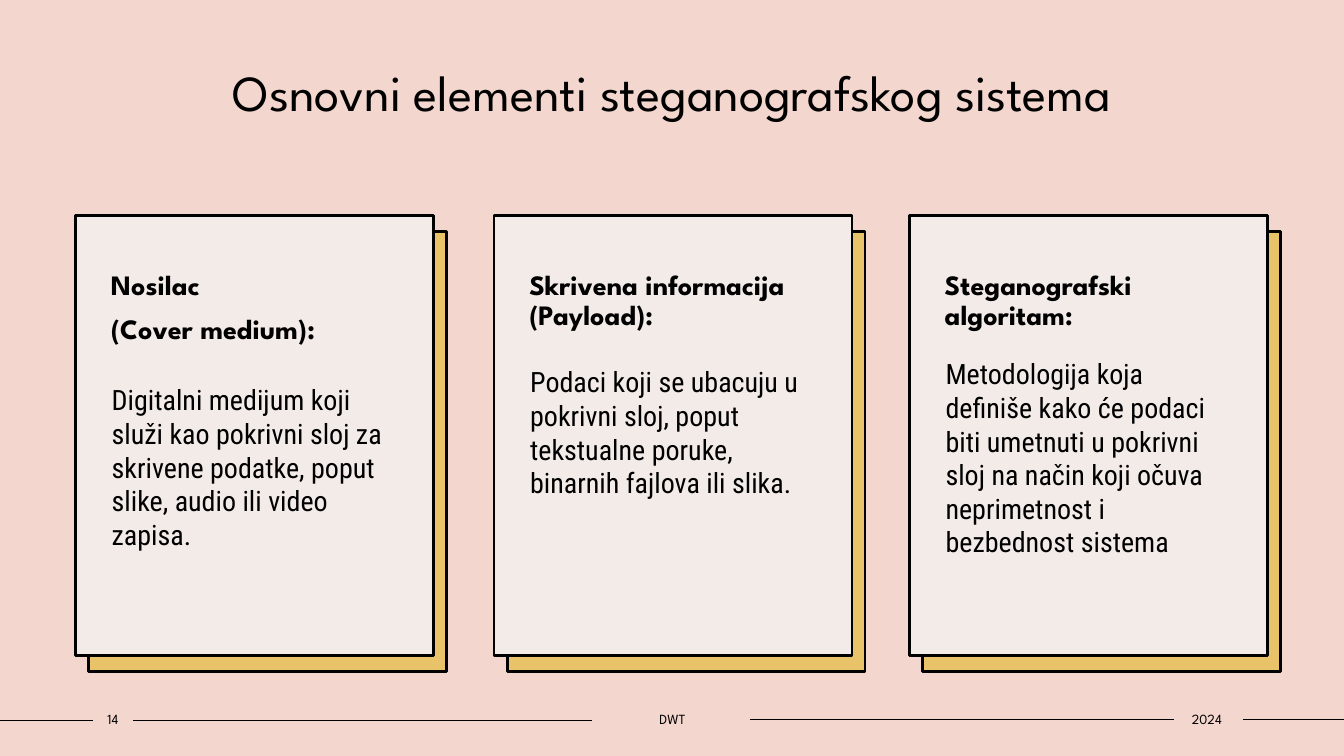
from pptx import Presentation
from pptx.dml.color import RGBColor
from pptx.enum.shapes import MSO_CONNECTOR, MSO_SHAPE
from pptx.enum.text import MSO_ANCHOR, PP_ALIGN
from pptx.oxml.ns import qn
from pptx.util import Pt
from lxml import etree

PX = 9144  # 100 px to the inch
COLORS = {"back": "F3D6CD", "card": "F3EBE8", "gold": "E9C369", "ink": "000000"}
HEAD_FONT, BODY_FONT = "League Spartan", "Roboto Condensed"

TITLE = {"size": 36, "name": HEAD_FONT}
HEADING = {"size": 20, "name": HEAD_FONT, "bold": True}
BODY = {"size": 20, "name": BODY_FONT}
FOOTER = {"size": 10, "name": HEAD_FONT}

# left edge, heading paragraphs, top of the description, description
CARDS = [
    (75, ["Nosilac", "(Cover medium):"], 375,
     "Digitalni medijum koji služi kao pokrivni sloj za skrivene podatke, "
     "poput slike, audio ili video zapisa."),
    (490, ["Skrivena informacija (Payload):"], 357,
     "Podaci koji se ubacuju u pokrivni sloj, poput tekstualne poruke, "
     "binarnih fajlova ili slika."),
    (902, ["Steganografski algoritam:"], 349,
     "Metodologija koja definiše kako će podaci biti umetnuti u pokrivni sloj "
     "na način koji očuva neprimetnost i bezbednost sistema"),
]
FOOTER_LINES = [(0, 92, 15), (132, 587, 15), (744, 1164, 14), (1233, 1333, 14)]
FOOTER_TEXTS = [(92, 40, "14"), (587, 160, "DWT"), (1162, 70, "2024")]


def px(*lengths):
    return [n * PX for n in lengths]


def color(name):
    return RGBColor.from_string(COLORS[name])


def write(sp, lines, font, align=PP_ALIGN.LEFT, anchor=MSO_ANCHOR.TOP,
          insets=(10, 5, 10, 5), paragraph=None):
    tf = sp.text_frame
    tf.word_wrap = True
    tf.vertical_anchor = anchor
    for side, inset in zip(("left", "top", "right", "bottom"), px(*insets)):
        setattr(tf, f"margin_{side}", inset)
    for i, line in enumerate(lines):
        p = tf.add_paragraph() if i else tf.paragraphs[0]
        p.alignment = align
        for key, value in (paragraph or {}).items():
            setattr(p, key, value)
        r = p.add_run()
        r.text = line
        for key, value in font.items():
            setattr(r.font, key, Pt(value) if key == "size" else value)
        r.font.color.rgb = color("ink")


def add_text(s, box, lines, font, **options):
    write(s.shapes.add_textbox(*px(*box)), lines, font, **options)


def add_panel(s, box, fill):
    sp = s.shapes.add_shape(MSO_SHAPE.RECTANGLE, *px(*box))
    sp.shadow.inherit = False
    sp.fill.solid()
    sp.fill.fore_color.rgb = color(fill)
    sp.line.color.rgb = color("ink")
    sp.line.width = Pt(2)
    return sp


def add_card(s, box, heading, body_top, body):
    x, y, w, h = box
    add_panel(s, (x + 13, y + 16, w, h), "gold")
    write(add_panel(s, box, "card"), heading, HEADING, insets=(35, 55, 10, 5),
          paragraph={"line_spacing": 0.9, "space_before": Pt(10)})
    add_text(s, (x + 26, body_top, 300, y + h - 23 - body_top), [body], BODY)


def add_footer(s, box):
    x, y, w, h = box
    for start, end, drop in FOOTER_LINES:
        line = s.shapes.add_connector(
            MSO_CONNECTOR.STRAIGHT, *px(x + start, y + drop, x + end, y + drop))
        line.line.color.rgb = color("ink")
        line.line.width = Pt(1)
        etree.SubElement(line._element.spPr, qn("a:effectLst"))
    for left, width, text in FOOTER_TEXTS:
        add_text(s, (x + left, y, width, h), [text], FOOTER, align=PP_ALIGN.CENTER,
                 anchor=MSO_ANCHOR.MIDDLE, insets=(0, 5, 0, 5))


def main():
    prs = Presentation()
    prs.slide_width, prs.slide_height = px(1333, 750)
    s = prs.slides.add_slide(prs.slide_layouts[6])
    s.background.fill.solid()
    s.background.fill.fore_color.rgb = color("back")
    add_footer(s, (0, 700, 1333, 27))
    add_text(s, (125, 56, 1084, 111), ["Osnovni elementi steganografskog sistema"],
             TITLE, align=PP_ALIGN.CENTER)
    for x, heading, body_top, body in CARDS:
        add_card(s, (x, 214, 355, 436), heading, body_top, body)
    prs.save("out.pptx")


if __name__ == "__main__":
    main()
